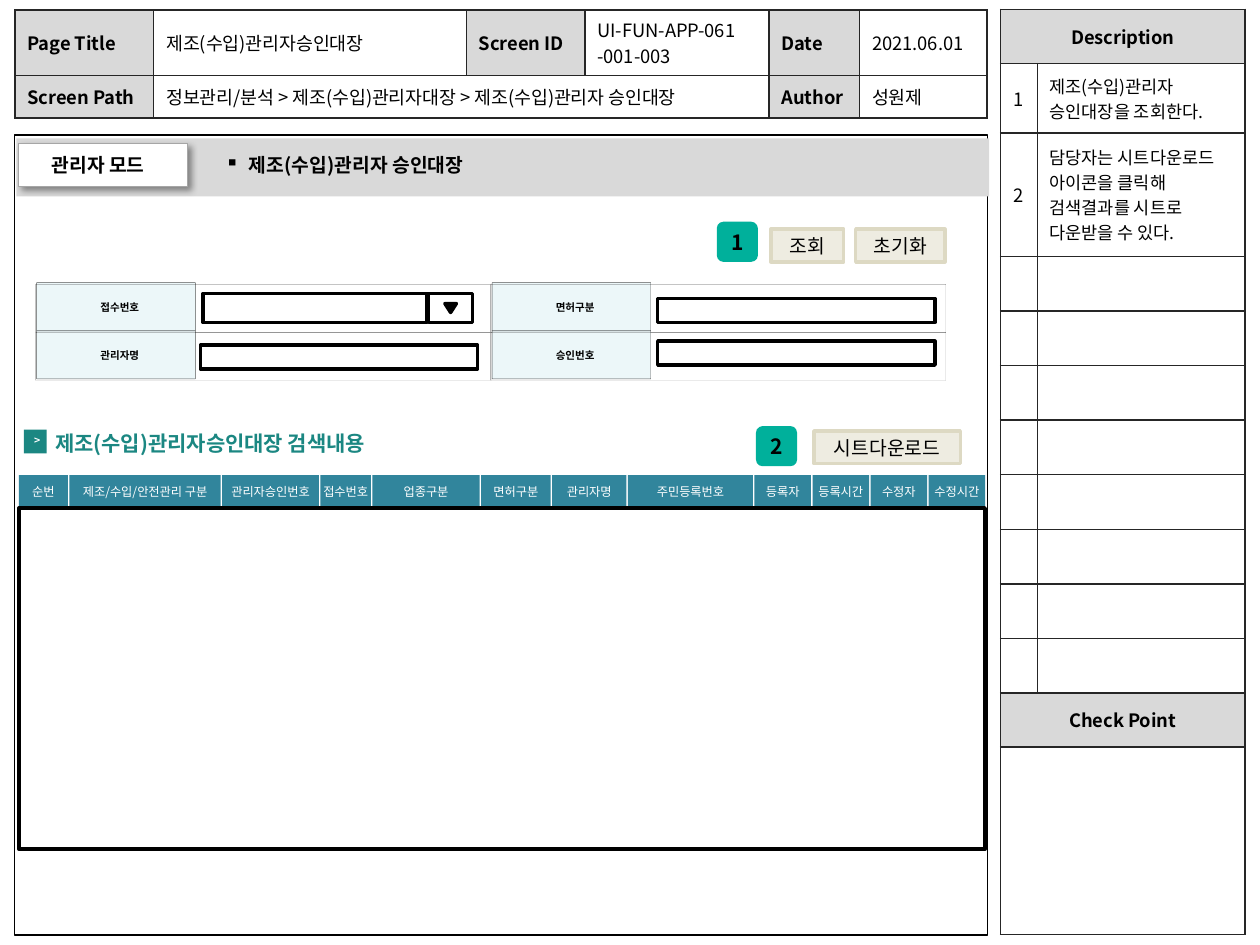
from dataclasses import dataclass

from lxml import etree
from pptx import Presentation
from pptx import util as u
from pptx.dml.color import RGBColor
from pptx.enum import shapes, text
from pptx.oxml import parse_xml
from pptx.oxml.ns import nsdecls, qn

Cm, Pt = u.Cm, u.Pt
CENTER = text.PP_ALIGN.CENTER
RECT = shapes.MSO_SHAPE.RECTANGLE
ROUNDED = shapes.MSO_SHAPE.ROUNDED_RECTANGLE


@dataclass(frozen=True)
class Theme:
    font: str = "Noto Sans CJK KR"
    ink: str = "000000"
    white: str = "FFFFFF"
    grid: str = "262626"
    gray: str = "D9D9D9"
    edge: str = "A6A6A6"
    badge: str = "00B09B"
    button: str = "EEECE1"
    button_edge: str = "DDD9C3"
    teal: str = "1B8782"
    column: str = "31859C"
    label: str = "ECF7F9"
    tiny: float = 6
    small: float = 7
    note: float = 10
    cell: float = 10.5
    body: float = 11
    large: float = 12


class Screen:
    def __init__(self, page, theme):
        self.page, self.theme = page, theme

    def style(self, frame, size, color=None, bold=False, align=None):
        for para in frame.paragraphs:
            para.alignment = align
            for span in para.runs:
                font = span.font
                font.name, font.size, font.bold = self.theme.font, Pt(size), bold
                font.color.rgb = RGBColor.from_string(color or self.theme.ink)
                east = etree.SubElement(span._r.get_or_add_rPr(), qn("a:ea"))
                east.set("typeface", self.theme.font)

    def box(self, left, top, width, height, fill=None, line=None, weight=2,
            kind=RECT, alpha=None):
        box = self.page.shapes.add_shape(kind, Cm(left), Cm(top), Cm(width), Cm(height))
        box.shadow.inherit = False
        if fill:
            box.fill.solid()
            box.fill.fore_color.rgb = RGBColor.from_string(fill)
        else:
            box.fill.background()
        if line:
            box.line.width = Pt(weight)
            box.line.color.rgb = RGBColor.from_string(line)
        else:
            box.line.fill.background()
        if alpha:
            color = box.line._ln.find(".//" + qn("a:srgbClr"))
            etree.SubElement(color, qn("a:alpha")).set("val", str(alpha * 1000))
        return box

    def caption(self, box, words, size, color=None, bold=False, side=0.25, top=0.13):
        frame = box.text_frame
        frame.text = words
        frame.word_wrap = True
        frame.vertical_anchor = text.MSO_ANCHOR.MIDDLE
        frame.margin_left = frame.margin_right = Cm(side)
        frame.margin_top = Cm(top)
        self.style(frame, size, color, bold, CENTER)

    def note(self, left, top, width, height, words, size, color=None, align=None, bullet=None):
        box = self.page.shapes.add_textbox(Cm(left), Cm(top), Cm(width), Cm(height))
        frame = box.text_frame
        frame.word_wrap = True
        frame.auto_size = text.MSO_AUTO_SIZE.SHAPE_TO_FIT_TEXT
        frame.text = words
        if bullet:
            props = frame.paragraphs[0]._p.get_or_add_pPr()
            props.set("marL", str(Cm(0.48)))
            props.set("indent", str(-Cm(0.48)))
            etree.SubElement(props, qn("a:buChar")).set("char", bullet)
        self.style(frame, size, color, True, align)

    def button(self, left, top, width, words):
        box = self.box(left, top, width, 0.66, self.theme.button, self.theme.button_edge)
        self.caption(box, words, self.theme.body)

    def badge(self, left, top, number):
        box = self.box(left, top, 0.83, 0.81, self.theme.badge, kind=ROUNDED)
        self.caption(box, number, self.theme.large, bold=True)

    def shadow(self, box, blur, distance, angle, alpha):
        effects = box._element.spPr.find(qn("a:effectLst"))
        effects.append(parse_xml(
            f'<a:outerShdw {nsdecls("a")} blurRad="{Pt(blur)}" dist="{Pt(distance)}" '
            f'dir="{angle * 60000}" algn="tl" rotWithShape="0"><a:srgbClr val="{self.theme.ink}">'
            f'<a:alpha val="{alpha * 1000}"/></a:srgbClr></a:outerShdw>'))

    def table(self, left, top, columns, rows):
        frame = self.page.shapes.add_table(len(rows), len(columns), Cm(left), Cm(top),
                                           Cm(sum(columns)), Cm(sum(rows)))
        table = frame.table
        table.first_row = table.horz_banding = False
        for column, width in zip(table.columns, columns):
            column.width = Cm(width)
        for row, height in zip(table.rows, rows):
            row.height = Cm(height)
        for cell in table.iter_cells():
            cell.vertical_anchor = text.MSO_ANCHOR.MIDDLE
            for side in ("lnL", "lnR", "lnT", "lnB"):
                cell._tc.get_or_add_tcPr().append(parse_xml(
                    f'<a:{side} {nsdecls("a")} w="{Pt(1)}"><a:solidFill>'
                    f'<a:srgbClr val="{self.theme.grid}"/></a:solidFill></a:{side}>'))
            cell.fill.background()
            end = cell.text_frame.paragraphs[0]._p.get_or_add_endParaRPr()
            end.set("sz", str(int(self.theme.note * 100)))
        return table

    def cell(self, cell, words, heading=False, size=None, align=None):
        cell.text_frame.text = words
        self.style(cell.text_frame, size or self.theme.cell, bold=heading, align=align)
        if heading:
            cell.fill.solid()
            cell.fill.fore_color.rgb = RGBColor.from_string(self.theme.gray)


def main():
    deck = Presentation()
    deck.slide_width, deck.slide_height = Cm(25.4), Cm(19.05)
    theme = Theme()
    screen = Screen(deck.slides.add_slide(deck.slide_layouts[6]), theme)

    # Page information: headings and values alternate
    info = screen.table(0.3, 0.2, [2.8, 6.3, 2.39, 3.71, 1.83, 2.57], [0.86, 0.86])
    info.cell(1, 1).merge(info.cell(1, 3))
    details = [
        ["Page Title", "제조(수입)관리자승인대장", "Screen ID",
         "UI-FUN-APP-061\n-001-003", "Date", "2021.06.01"],
        ["Screen Path", "정보관리/분석 > 제조(수입)관리자대장 > 제조(수입)관리자 승인대장",
         None, None, "Author", "성원제"],
    ]
    for r, row in enumerate(details):
        for c, words in enumerate(row):
            if words:
                screen.cell(info.cell(r, c), words, heading=c % 2 == 0)

    # Description and check point
    rows = [1.09, 1.4, 2.49] + [1.1] * 8 + [1.09, 3.78]
    remarks = screen.table(20.17, 0.19, [0.74, 4.19], rows)
    for r in (0, 11, 12):
        remarks.cell(r, 0).merge(remarks.cell(r, 1))
    for r, words in ((0, "Description"), (11, "Check Point")):
        screen.cell(remarks.cell(r, 0), words, heading=True, align=CENTER)
    descriptions = ["제조(수입)관리자 승인대장을 조회한다.",
                    "담당자는 시트다운로드 아이콘을 클릭해 검색결과를 시트로 다운받을 수 있다."]
    for number, words in enumerate(descriptions, 1):
        screen.cell(remarks.cell(number, 0), str(number))
        screen.cell(remarks.cell(number, 1), words, size=theme.note)

    # Screen outline and title bar
    screen.badge(14.45, 4.47, "1")
    screen.box(0.3, 2.72, 19.61, 16.13, line=theme.ink, weight=0.75)
    screen.box(0.33, 2.79, 19.61, 1.17, theme.gray)
    mode = screen.box(0.38, 2.9, 3.4, 0.86, theme.white, theme.edge, 0.75)
    screen.shadow(mode, blur=4, distance=3, angle=45, alpha=40)
    screen.note(0.79, 2.97, 2.59, 0.74, "관리자 모드", theme.body)
    screen.button(15.54, 4.62, 1.47, "조회")
    screen.button(17.25, 4.62, 1.8, "초기화")
    screen.note(4.29, 2.97, 7.19, 0.74, "제조(수입)관리자 승인대장", theme.body, bullet="▪")

    # Result heading
    marker = screen.box(0.48, 8.66, 0.46, 0.48, theme.teal)
    screen.caption(marker, ">", theme.tiny, theme.white, True, top=0.08)
    screen.note(0.86, 8.56, 8.28, 0.76, "제조(수입)관리자승인대장 검색내용",
                theme.large, theme.teal)

    # Result columns, side by side with a narrow gap
    columns = [("순번", 0.99), ("제조/수입/안전관리 구분", 3.05), ("관리자승인번호", 1.95),
               ("접수번호", 1.02), ("업종구분", 2.16), ("면허구분", 1.4), ("관리자명", 1.5),
               ("주민등록번호", 2.52), ("등록자", 1.14), ("등록시간", 1.14),
               ("수정자", 1.14), ("수정시간", 1.14)]
    left = 0.38
    for words, width in columns:
        head = screen.box(left, 9.58, width, 0.66, theme.column)
        screen.caption(head, words, theme.small, theme.white, side=0)
        left += width + 0.03
    screen.box(0.38, 10.24, 19.48, 6.88, theme.white, theme.ink)
    screen.button(16.41, 8.69, 2.95, "시트다운로드")

    # Search form: two by two labels with their frames
    form = [["접수번호", "면허구분"], ["관리자명", "승인번호"]]
    for r, row in enumerate(form):
        for c, words in enumerate(row):
            x, y = 0.74 + 9.18 * c, 5.7 + 0.97 * r
            screen.box(x, y, 3.2, 0.97, theme.label, theme.ink, 0.25, alpha=65)
            screen.note(x + 0.39, y + 0.25, 2.57, 0.51, words, theme.tiny, align=CENTER)
            screen.box(x - 0.02, y + 0.03, 9.17, 0.97, line=theme.ink, weight=0.1, alpha=65)

    # Input fields and drop-down
    screen.box(4.09, 5.92, 4.52, 0.58, line=theme.ink)
    screen.box(8.97, 6.12, 0.23, 0.18, theme.ink, theme.ink,
               kind=shapes.MSO_SHAPE.FLOWCHART_MERGE)
    screen.box(8.64, 5.92, 0.89, 0.58, line=theme.ink)
    for x, y in ((4.04, 6.96), (13.26, 6.02), (13.26, 6.88)):
        screen.box(x, y, 5.59, 0.48, line=theme.ink)
    screen.badge(15.24, 8.59, "2")

    deck.save("out.pptx")


if __name__ == "__main__":
    main()
